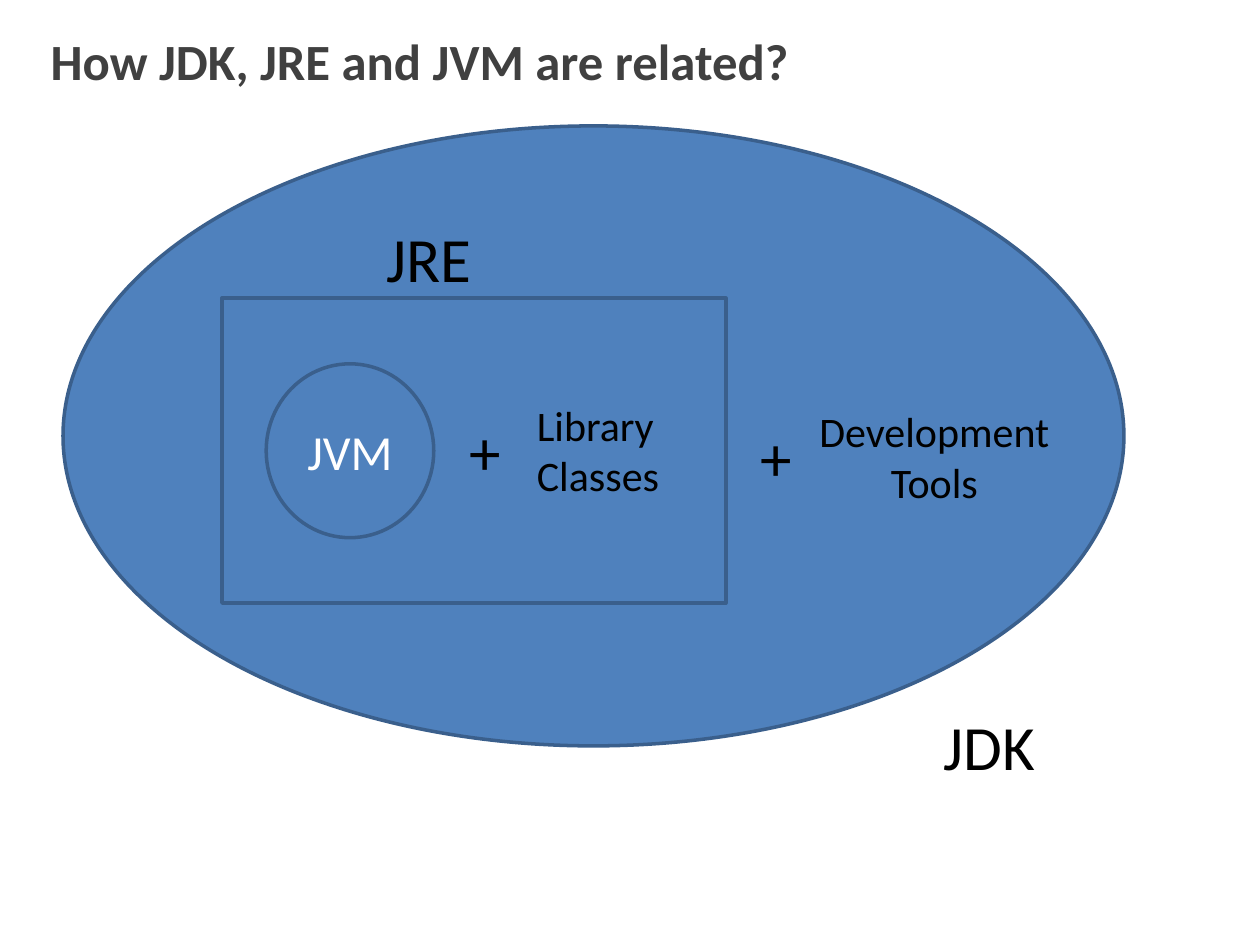
from pptx import Presentation
from pptx.dml.color import RGBColor as Color
from pptx.enum.shapes import MSO_SHAPE as Shape
from pptx.enum.text import MSO_ANCHOR as Anchor, PP_ALIGN as Align
from pptx.util import Inches, Pt

THEME = {
    "font": "Calibri",
    "title": Color(0x40, 0x40, 0x40),
    "fill": Color(0x4F, 0x81, 0xBD),
    "line": Color(0x3A, 0x5F, 0x8C),
    "dark": Color(0, 0, 0),
    "light": Color(255, 255, 255),
    "title_size": 29,
    "name_size": 36,
    "core_size": 28,
    "part_size": 24,
}

deck = Presentation()
deck.slide_width, deck.slide_height = Inches(10), Inches(7.5)
page = deck.slides.add_slide(deck.slide_layouts[5])


def place(left, top, width, height):
    """Turn percentages of the slide's width and height into lengths."""
    across, down = deck.slide_width / 100, deck.slide_height / 100
    return [round(length) for length in
            (left * across, top * down, width * across, height * down)]


def write(box, text, size, color="dark", bold=False, align=Align.LEFT,
          anchor=Anchor.TOP, wrap=False):
    """Fill a shape with one paragraph per line of text."""
    frame = box.text_frame
    frame.word_wrap = wrap
    frame.vertical_anchor = anchor
    for index, line in enumerate(text.split("\n")):
        para = frame.add_paragraph() if index else frame.paragraphs[0]
        para.alignment = align
        span = para.add_run()
        span.text = line
        span.font.name = THEME["font"]
        span.font.size = Pt(THEME[size])
        span.font.bold = bold
        span.font.color.rgb = THEME[color]


# Nested regions: JDK holds JRE, JRE holds JVM
regions = []
for kind, bounds in [
    (Shape.OVAL, (5, 13.33, 84.2, 65.6)),
    (Shape.RECTANGLE, (17.62, 31.55, 40, 32.27)),
    (Shape.OVAL, (21.13, 38.5, 13.3, 18.4)),
]:
    region = page.shapes.add_shape(kind, *place(*bounds))
    region.shadow.inherit = False
    region.fill.solid()
    region.fill.fore_color.rgb = THEME["fill"]
    region.line.color.rgb = THEME["line"]
    region.line.width = Pt(2)
    regions.append(region)
jdk, jre, jvm = regions
write(jvm, "JVM", "core_size", color="light", align=Align.CENTER,
      anchor=Anchor.MIDDLE, wrap=True)

# Title, layered between the JRE and JVM regions
title = page.shapes.title
title.left, title.top, title.width, title.height = place(3.02, 2.2, 93.6, 8.4)
write(title, "How JDK, JRE and JVM are related?", "title_size", color="title",
      bold=True, anchor=Anchor.MIDDLE, wrap=True)
jre.element.addnext(title.element)

# Parts, plus signs and region names
for text, size, align, bounds in [
    ("Library\nClasses", "part_size", Align.LEFT, (41.62, 41.6, 11.8, 12.13)),
    ("+", "name_size", Align.LEFT, (36.3, 42.97, 4.5, 9.47)),
    ("+", "name_size", Align.LEFT, (59.4, 43.6, 4.5, 9.47)),
    ("Development\nTools", "part_size", Align.CENTER, (63.9, 42.27, 20.5, 12.13)),
    ("JDK", "name_size", Align.LEFT, (73.9, 74.18, 9.4, 9.47)),
    ("JRE", "name_size", Align.LEFT, (29.7, 22.53, 8.8, 9.47)),
]:
    write(page.shapes.add_textbox(*place(*bounds)), text, size, align=align)

deck.save("out.pptx")
